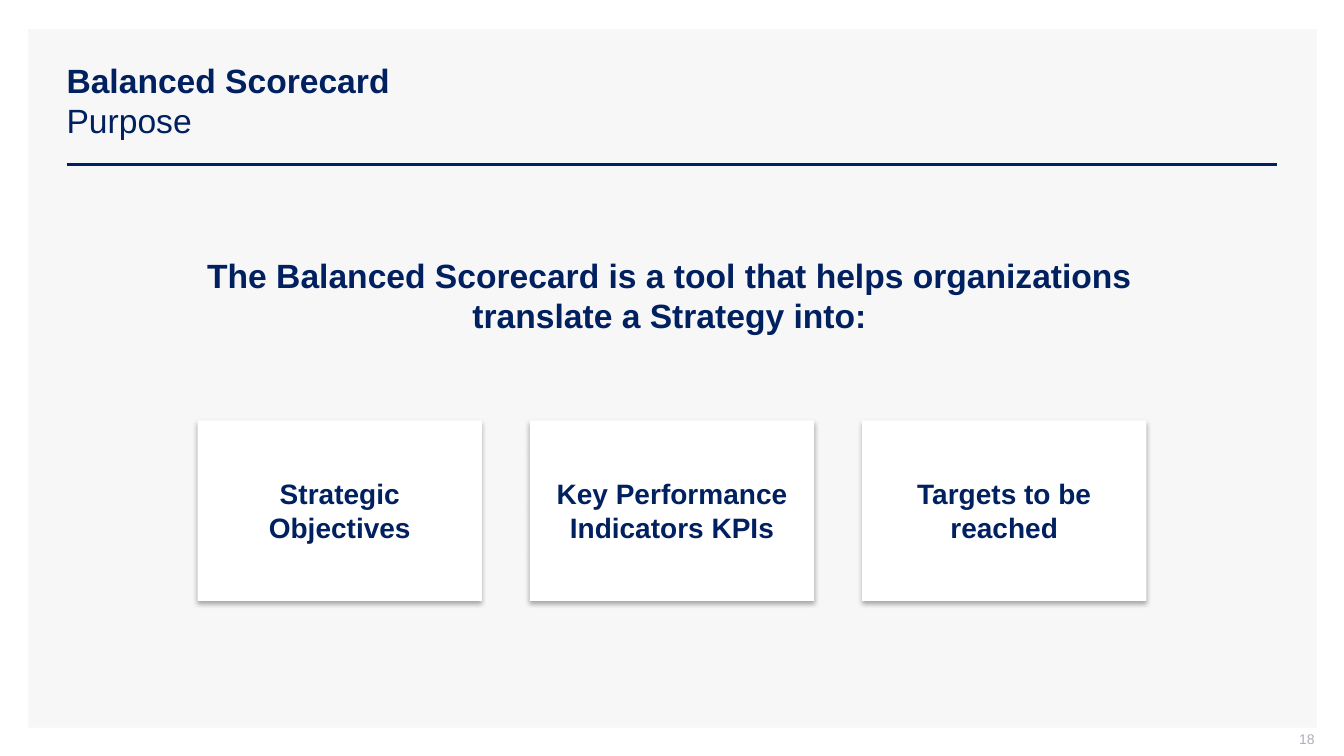
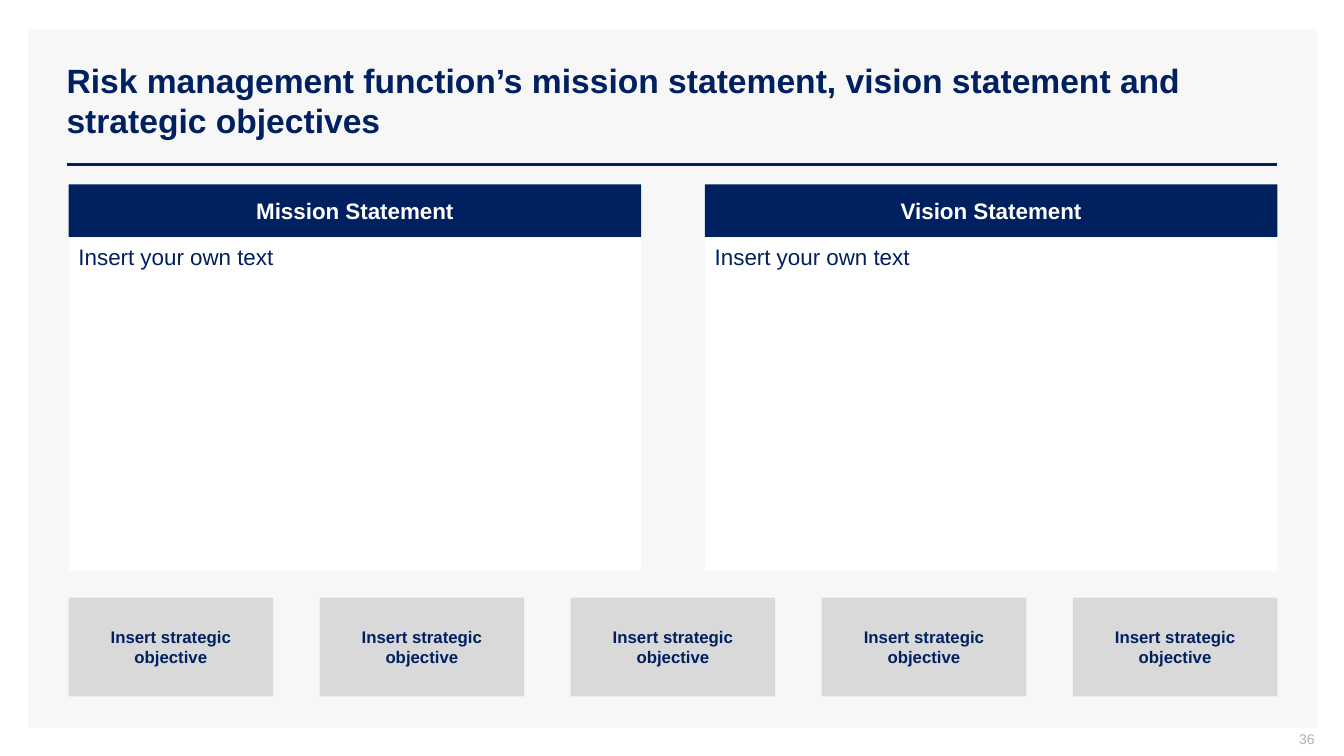
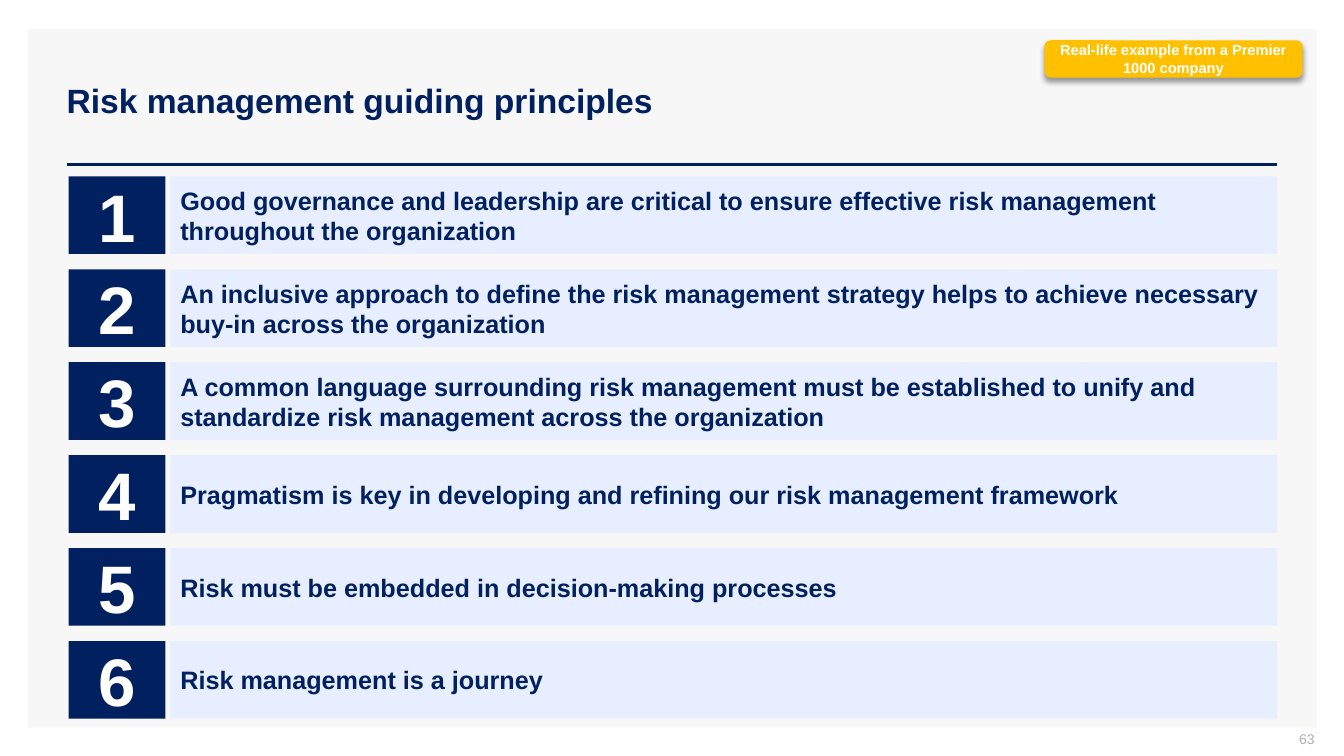
from dataclasses import dataclass
from typing import Optional

from lxml.etree import SubElement
from pptx import Presentation
from pptx.dml.color import RGBColor
from pptx.enum.shapes import MSO_CONNECTOR, MSO_SHAPE
from pptx.enum.text import MSO_ANCHOR, MSO_AUTO_SIZE, PP_ALIGN
from pptx.oxml.ns import qn
from pptx.util import Inches, Pt

FONT = "Arial"
COLORS = {
    "navy": "002060", "white": "FFFFFF", "panel": "F7F7F7", "grey": "D9D9D9",
    "ice": "E7EEFF", "amber": "FFC000", "number": "ADAFBB", "black": "000000",
}
SLIDE_W, SLIDE_H = 13.33, 7.5
LEFT, RIGHT = 0.68, 12.67
TITLE_ONLY = 5


@dataclass(frozen=True)
class Box:
    x: float
    y: float
    w: float
    h: float

    def emu(self) -> tuple:
        return tuple(Inches(v) for v in (self.x, self.y, self.w, self.h))


@dataclass(frozen=True)
class Shadow:
    alpha: int
    blur: float
    dist: float


@dataclass(frozen=True)
class Style:
    size: float
    color: str = "navy"
    bold: bool = True
    align: PP_ALIGN = PP_ALIGN.CENTER
    anchor: MSO_ANCHOR = MSO_ANCHOR.MIDDLE
    fill: Optional[str] = None
    shadow: Optional[Shadow] = None


CARD = Style(20, fill="white", shadow=Shadow(32, 3.5, 2.2))
STATEMENT = Style(24, anchor=MSO_ANCHOR.TOP)
HEADING = Style(16, "white", fill="navy")
BODY = Style(16, bold=False, align=PP_ALIGN.LEFT, anchor=MSO_ANCHOR.TOP, fill="white")
OBJECTIVE = Style(12, fill="grey")
NUMERAL = Style(48, "white", fill="navy")
PRINCIPLE = Style(18, align=PP_ALIGN.LEFT, fill="ice")
BADGE = Style(10.5, "white", fill="amber", shadow=Shadow(40, 4, 3))
TITLE = Style(24, align=PP_ALIGN.LEFT)
PAGE = Style(10, "number", bold=False, align=PP_ALIGN.RIGHT)


def rgb(name: str) -> RGBColor:
    return RGBColor.from_string(COLORS[name])


def spread(start: float, end: float, count: int, size: float) -> list[float]:
    """Starts of equal items with equal gaps from start to end."""
    step = (end - start - size) / (count - 1)
    return [start + i * step for i in range(count)]


def add_run(p, text: str, style: Style, bold: bool) -> None:
    r = p.add_run()
    r.text = text
    r.font.name, r.font.size, r.font.bold = FONT, Pt(style.size), bold
    r.font.color.rgb = rgb(style.color)


def write(sp, text: str, style: Style) -> None:
    tf = sp.text_frame
    tf.word_wrap = True
    tf.auto_size = MSO_AUTO_SIZE.NONE
    tf.vertical_anchor = style.anchor
    p = tf.paragraphs[0]
    p.alignment = style.align
    if text:
        add_run(p, text, style, style.bold)


def add_shadow(sp, shadow: Shadow) -> None:
    effects = sp.element.spPr.find(qn("a:effectLst"))
    outer = SubElement(effects, qn("a:outerShdw"), blurRad=str(Pt(shadow.blur)),
                       dist=str(Pt(shadow.dist)), dir="5400000", algn="t", rotWithShape="0")
    color = SubElement(outer, qn("a:srgbClr"), val=COLORS["black"])
    SubElement(color, qn("a:alpha"), val=str(shadow.alpha * 1000))


def add_box(s, box: Box, text: str, style: Style, kind=MSO_SHAPE.RECTANGLE):
    sp = s.shapes.add_shape(kind, *box.emu())
    sp.shadow.inherit = False
    sp.fill.solid()
    sp.fill.fore_color.rgb = rgb(style.fill)
    sp.line.fill.background()
    if style.shadow:
        add_shadow(sp, style.shadow)
    write(sp, text, style)
    return sp


def add_label(s, box: Box, text: str, style: Style):
    sp = s.shapes.add_textbox(*box.emu())
    write(sp, text, style)
    return sp


def add_frame(s) -> None:
    """Panel and title rule, moved to the layout so every slide shares them."""
    panel = add_box(s, Box(0.28, 0.29, 12.78, 6.93), "", Style(12, fill="panel"))
    y = Inches(1.63)
    rule = s.shapes.add_connector(MSO_CONNECTOR.STRAIGHT, Inches(0.66), y, Inches(RIGHT), y)
    rule.line.color.rgb = rgb("navy")
    rule.line.width = Pt(2)
    SubElement(rule.element.spPr, qn("a:effectLst"))
    tree = s.slide_layout.shapes.element
    for i, part in enumerate((panel, rule)):
        part.element.xpath(".//p:cNvPr")[0].set("id", str(101 + i))
        tree.insert(2 + i, part.element)


def new_slide(prs, page: int, title: str, subtitle: str = ""):
    s = prs.slides.add_slide(prs.slide_layouts[TITLE_ONLY])
    sp = s.shapes.title
    sp.left, sp.top, sp.width, sp.height = Box(0.56, 0.4, 12.11, 1.19).emu()
    write(sp, title, TITLE)
    if subtitle:
        p = sp.text_frame.paragraphs[0]
        p.add_line_break()
        add_run(p, subtitle, TITLE, False)
    tf = add_label(s, Box(10.04, 7.25, 3, 0.21), str(page), PAGE).text_frame
    tf.margin_top = tf.margin_right = 0
    return s


def purpose_slide(prs) -> None:
    s = new_slide(prs, 18, "Balanced Scorecard", "Purpose")
    add_frame(s)
    add_label(s, Box(1.91, 2.48, 9.46, 0.91),
              "The Balanced Scorecard is a tool that helps organizations "
              "translate a Strategy into:", STATEMENT)
    cards = ("Strategic Objectives", "Key Performance Indicators KPIs", "Targets to be reached")
    for x, text in zip(spread(1.96, 11.37, len(cards), 2.82), cards):
        add_box(s, Box(x, 4.17, 2.82, 1.79), text, CARD)


def mission_slide(prs) -> None:
    s = new_slide(prs, 36, "Risk management function’s mission statement, "
                           "vision statement and strategic objectives")
    # Two statement panels
    headings = ("Mission Statement", "Vision Statement")
    for x, heading in zip(spread(LEFT, RIGHT, len(headings), 5.68), headings):
        add_box(s, Box(x, 1.83, 5.68, 0.52), heading, HEADING)
        add_box(s, Box(x, 2.36, 5.68, 3.31), "Insert your own text", BODY)
    # Row of objectives
    for x in spread(LEFT, RIGHT, 5, 2.03):
        add_box(s, Box(x, 5.93, 2.03, 0.98), "Insert strategic objective", OBJECTIVE)


def principles_slide(prs) -> None:
    s = new_slide(prs, 63, "Risk management guiding principles")
    principles = (
        "Good governance and leadership are critical to ensure effective risk management "
        "throughout the organization",
        "An inclusive approach to define the risk management strategy helps to achieve "
        "necessary buy-in across the organization",
        "A common language surrounding risk management must be established to unify and "
        "standardize risk management across the organization",
        "Pragmatism is key in developing and refining our risk management framework",
        "Risk must be embedded in decision-making processes",
        "Risk management is a journey",
    )
    # Numbered rows
    rows = spread(1.75, 7.13, len(principles), 0.77)
    for number, (y, text) in enumerate(zip(rows, principles), 1):
        add_box(s, Box(LEFT, y, 0.96, 0.77), str(number), NUMERAL)
        add_box(s, Box(1.69, y, RIGHT - 1.69, 0.77), text, PRINCIPLE)
    # Corner badge
    add_box(s, Box(10.36, 0.4, 2.56, 0.37), "Real-life example from a Premier 1000 company",
            BADGE, MSO_SHAPE.ROUNDED_RECTANGLE)


def main() -> None:
    prs = Presentation()
    prs.slide_width, prs.slide_height = Inches(SLIDE_W), Inches(SLIDE_H)
    for build in (purpose_slide, mission_slide, principles_slide):
        build(prs)
    prs.save("out.pptx")


if __name__ == "__main__":
    main()
